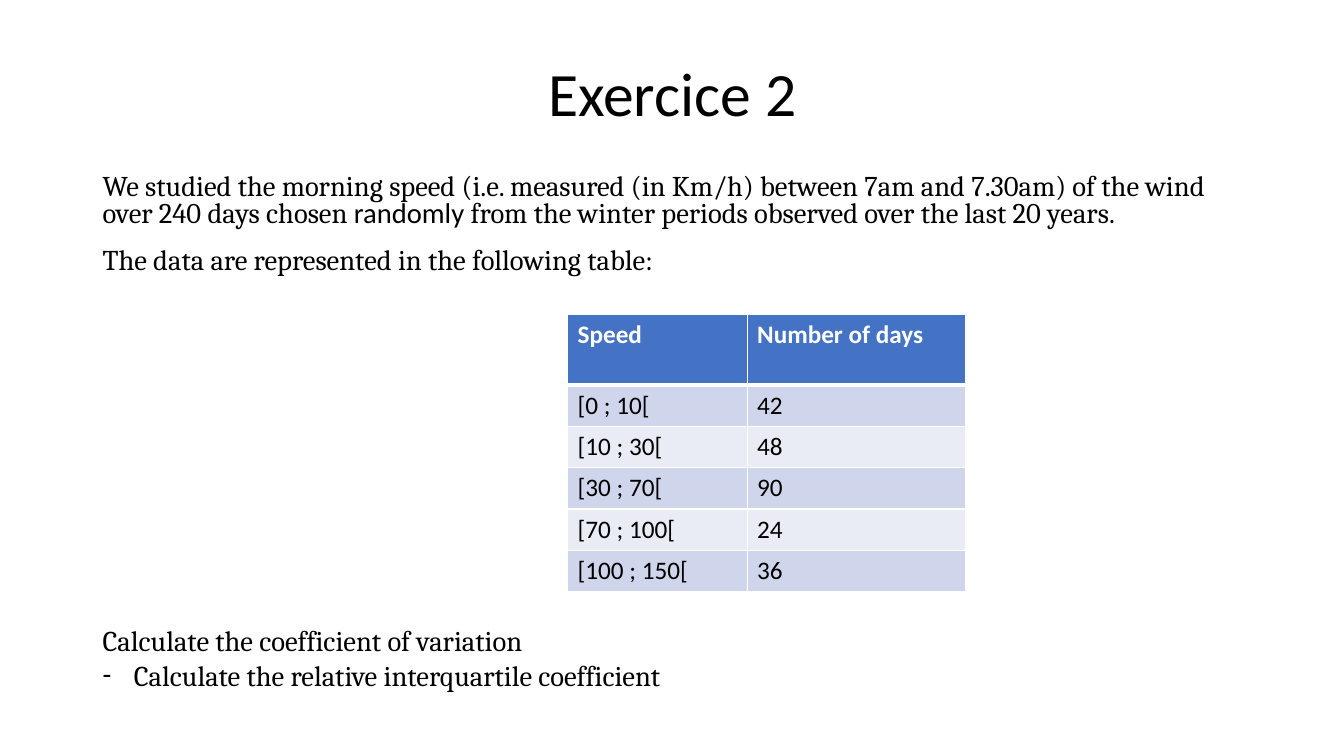
from dataclasses import dataclass

from lxml.etree import SubElement
from pptx import Presentation
from pptx.dml.color import RGBColor as RGB
from pptx.enum.text import MSO_ANCHOR as Anchor, PP_ALIGN as Align
from pptx.oxml.ns import qn
from pptx.util import Inches, Pt


@dataclass(frozen=True)
class Theme:
    ink: str = "000000"
    white: str = "FFFFFF"
    header: str = "4472C4"
    bands: tuple = ("CFD5EA", "E9EBF5")
    sans: str = "Calibri"
    serif: str = "Cambria"
    title_size: float = 44
    body_size: float = 20.4
    table_size: float = 18


def write(paragraph, text, font, size, color, bold=False):
    """Add one formatted run to a paragraph."""
    run = paragraph.add_run()
    run.text = text
    run.font.name, run.font.size, run.font.bold = font, Pt(size), bold
    run.font.color.rgb = RGB.from_string(color)


class ExerciseSlide:
    def __init__(self, deck, theme):
        self.theme = theme
        self.slide = deck.slides.add_slide(deck.slide_layouts[6])

    def text_frame(self, left, top, width, height, anchor=Anchor.TOP):
        box = self.slide.shapes.add_textbox(
            Inches(left), Inches(top), Inches(width), Inches(height))
        frame = box.text_frame
        frame.word_wrap = True
        frame.vertical_anchor = anchor
        return frame

    def title(self, text, *place):
        heading = self.text_frame(*place, anchor=Anchor.MIDDLE).paragraphs[0]
        heading.alignment = Align.CENTER
        heading.line_spacing = 0.9
        write(heading, text, self.theme.sans, self.theme.title_size, self.theme.ink)

    def body(self, paragraphs, *place, gap, dashed=()):
        """Each paragraph is a list of (text, font) pairs."""
        frame = self.text_frame(*place)
        for index, pieces in enumerate(paragraphs):
            paragraph = frame.add_paragraph() if index else frame.paragraphs[0]
            paragraph.line_spacing = 0.8
            if index:
                paragraph.space_before = Pt(gap)
            if index in dashed:
                self.dash(paragraph)
            for text, font in pieces:
                write(paragraph, text, font, self.theme.body_size, self.theme.ink)

    def dash(self, paragraph):
        props = paragraph._p.get_or_add_pPr()
        indent = Inches(0.31)
        props.set("marL", str(indent))
        props.set("indent", str(-indent))
        SubElement(props, qn("a:buFont")).set("typeface", self.theme.sans)
        SubElement(props, qn("a:buChar")).set("char", "-")

    def borders(self, cell, bottom):
        props = cell._tc.get_or_add_tcPr()
        widths = {"a:lnL": 1, "a:lnR": 1, "a:lnT": 1, "a:lnB": bottom}
        for position, (side, width) in enumerate(widths.items()):
            line = SubElement(props, qn(side))
            line.set("w", str(Pt(width)))
            fill = SubElement(line, qn("a:solidFill"))
            SubElement(fill, qn("a:srgbClr")).set("val", self.theme.white)
            props.insert(position, line)  # borders precede the fill

    def table(self, rows, left, top, widths, heights):
        theme = self.theme
        grid = self.slide.shapes.add_table(
            len(rows), len(widths), Inches(left), Inches(top),
            Inches(sum(widths)), Inches(sum(heights))).table
        for column, width in zip(grid.columns, widths):
            column.width = Inches(width)
        for r, (values, height) in enumerate(zip(rows, heights)):
            grid.rows[r].height = Inches(height)
            is_header = r == 0
            shade = theme.header if is_header else theme.bands[(r - 1) % 2]
            for c, value in enumerate(values):
                cell = grid.cell(r, c)
                cell.fill.solid()
                cell.fill.fore_color.rgb = RGB.from_string(shade)
                # The rule under the header is shared with the first data row
                if r == 1:
                    self.borders(cell, bottom=1)
                    cell._tc.tcPr.find(qn("a:lnT")).set("w", str(Pt(3)))
                else:
                    self.borders(cell, bottom=3 if is_header else 1)
                write(cell.text_frame.paragraphs[0], value, theme.sans,
                      theme.table_size, theme.white if is_header else theme.ink,
                      bold=is_header)


def main():
    deck = Presentation()
    deck.slide_width, deck.slide_height = Inches(13.33), Inches(7.5)
    theme = Theme()
    exercise = ExerciseSlide(deck, theme)
    left, width = 0.92, 11.5

    # Title
    exercise.title("Exercice 2", left, 0.23, width, 1.45)

    # Problem statement
    statement = [
        [("We studied the morning speed (i.e. measured (in Km/h) between 7am "
          "and 7.30am) of the wind over 240 days chosen ", theme.serif),
         ("randomly ", theme.sans),
         ("from the winter periods observed over the last 20 years.", theme.serif)],
        [("The data are represented in the following table:", theme.serif)],
    ]
    exercise.body(statement, left, 1.68, width, 1.3, gap=14)

    # Wind speed distribution
    distribution = [
        ("Speed", "Number of days"),
        ("[0 ; 10[", "42"),
        ("[10 ; 30[", "48"),
        ("[30 ; 70[", "90"),
        ("[70 ; 100[", "24"),
        ("[100 ; 150[", "36"),
    ]
    heights = [0.7] + [0.41] * (len(distribution) - 1)
    exercise.table(distribution, 5.63, 3.12, (1.78, 2.17), heights)

    # Questions
    questions = [
        [("Calculate the coefficient of variation", theme.serif)],
        [("Calculate the relative interquartile coefficient", theme.serif)],
    ]
    exercise.body(questions, left, 6.2, width, 0.78, gap=5, dashed=(1,))

    deck.save("out.pptx")


if __name__ == "__main__":
    main()
